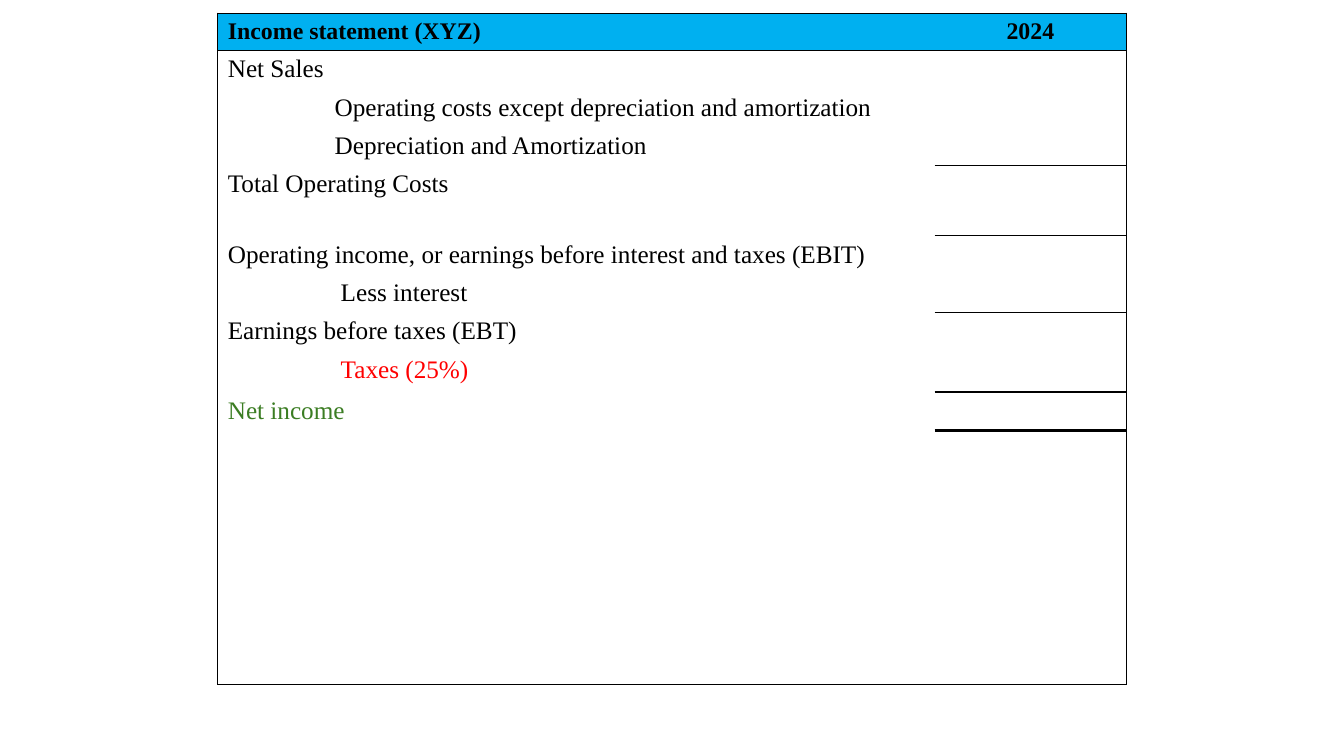
from lxml.etree import SubElement
from pptx import Presentation
from pptx.dml.color import RGBColor
from pptx.enum.text import MSO_ANCHOR, PP_ALIGN
from pptx.oxml.ns import qn
from pptx.util import Inches, Pt

COLORS = {"header": "00B0F0", "ink": "000000", "taxes": "FF0000", "profit": "3B7D23"}
FONT = "Times New Roman"
LEFT, TOP = 2.16, 0.13
COLUMN_WIDTHS = (7.11, 1.9)
MARGIN = 0.1
BLANK_ROWS = 7
BLANK_HEIGHT = 0.36

HEADER = ("Income statement (XYZ)", "2024")
STATEMENT = [
    ("Net Sales", 0, "ink", 0.38),
    ("Operating costs except depreciation and amortization", 1.06, "ink", 0.38),
    ("Depreciation and Amortization", 1.06, "ink", 0.38),
    ("Total Operating Costs", 0, "ink", 0.7),
    ("Operating income, or earnings before interest and taxes (EBIT)", 0, "ink", 0.38),
    ("Less interest", 1.12, "ink", 0.38),
    ("Earnings before taxes (EBT)", 0, "ink", 0.38),
    ("Taxes (25%)", 1.12, "taxes", 0.41),
    ("Net income", 0, "profit", 0.38),
]
AMOUNT_RULES = {3: 1, 4: 1, 6: 1, 8: 1, 9: 2.25}

heights = [0.37] + [line[3] for line in STATEMENT] + [BLANK_HEIGHT] * BLANK_ROWS
last_row = len(heights) - 1


def rule_below(row, column):
    if row in (-1, 0, last_row):
        return 1
    return AMOUNT_RULES.get(row, 0) if column == 1 else 0


def set_borders(cell, row, column):
    properties = cell._tc.get_or_add_tcPr()
    widths = {
        "a:lnL": 1 if column == 0 else 0,
        "a:lnR": 1 if column == 1 else 0,
        "a:lnT": rule_below(row - 1, column),
        "a:lnB": rule_below(row, column),
    }
    for tag, width in widths.items():
        border = SubElement(properties, qn(tag), w=str(Pt(width)))
        if width:
            fill = SubElement(border, qn("a:solidFill"))
            SubElement(fill, qn("a:srgbClr"), val=COLORS["ink"])
        else:
            SubElement(border, qn("a:noFill"))


def write_text(cell, text, size, color, bold=False):
    paragraph = cell.text_frame.paragraphs[0]
    run = paragraph.add_run()
    run.text = text
    formats = {"name": FONT, "size": Pt(size), "bold": bold}
    for name, value in formats.items():
        setattr(run.font, name, value)
    run.font.color.rgb = RGBColor.from_string(COLORS[color])
    return paragraph


presentation = Presentation()
presentation.slide_width = Inches(13.33)
presentation.slide_height = Inches(7.5)
slide = presentation.slides.add_slide(presentation.slide_layouts[6])

table = slide.shapes.add_table(
    len(heights), 2, Inches(LEFT), Inches(TOP),
    Inches(sum(COLUMN_WIDTHS)), Inches(sum(heights)),
).table
table.first_row = False
table.horz_banding = False
for column, width in enumerate(COLUMN_WIDTHS):
    table.columns[column].width = Inches(width)

for row, height in enumerate(heights):
    table.rows[row].height = Inches(height)
    for column in range(2):
        cell = table.cell(row, column)
        set_borders(cell, row, column)
        if row == 0:
            cell.fill.solid()
            cell.fill.fore_color.rgb = RGBColor.from_string(COLORS["header"])
            cell.vertical_anchor = MSO_ANCHOR.MIDDLE
            paragraph = write_text(cell, HEADER[column], 17, "ink", True)
            paragraph.alignment = PP_ALIGN.CENTER if column else PP_ALIGN.LEFT
            continue
        cell.fill.background()
        if column == 0 and row <= len(STATEMENT):
            text, indent, color, _ = STATEMENT[row - 1]
            cell.margin_left = Inches(MARGIN + indent)
            write_text(cell, text, 18, color)
        else:
            cell.margin_top = cell.margin_bottom = 0

presentation.save("out.pptx")
